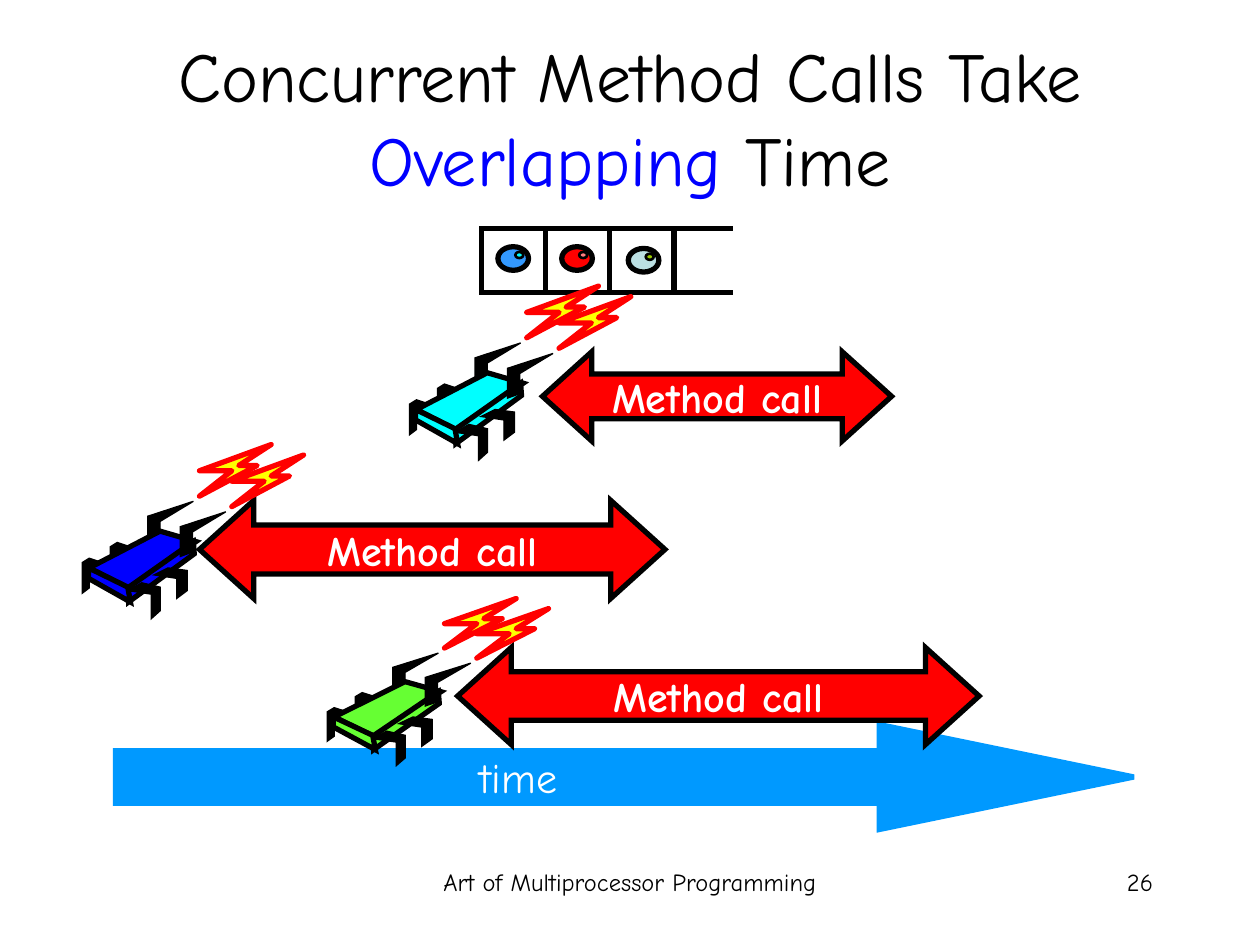
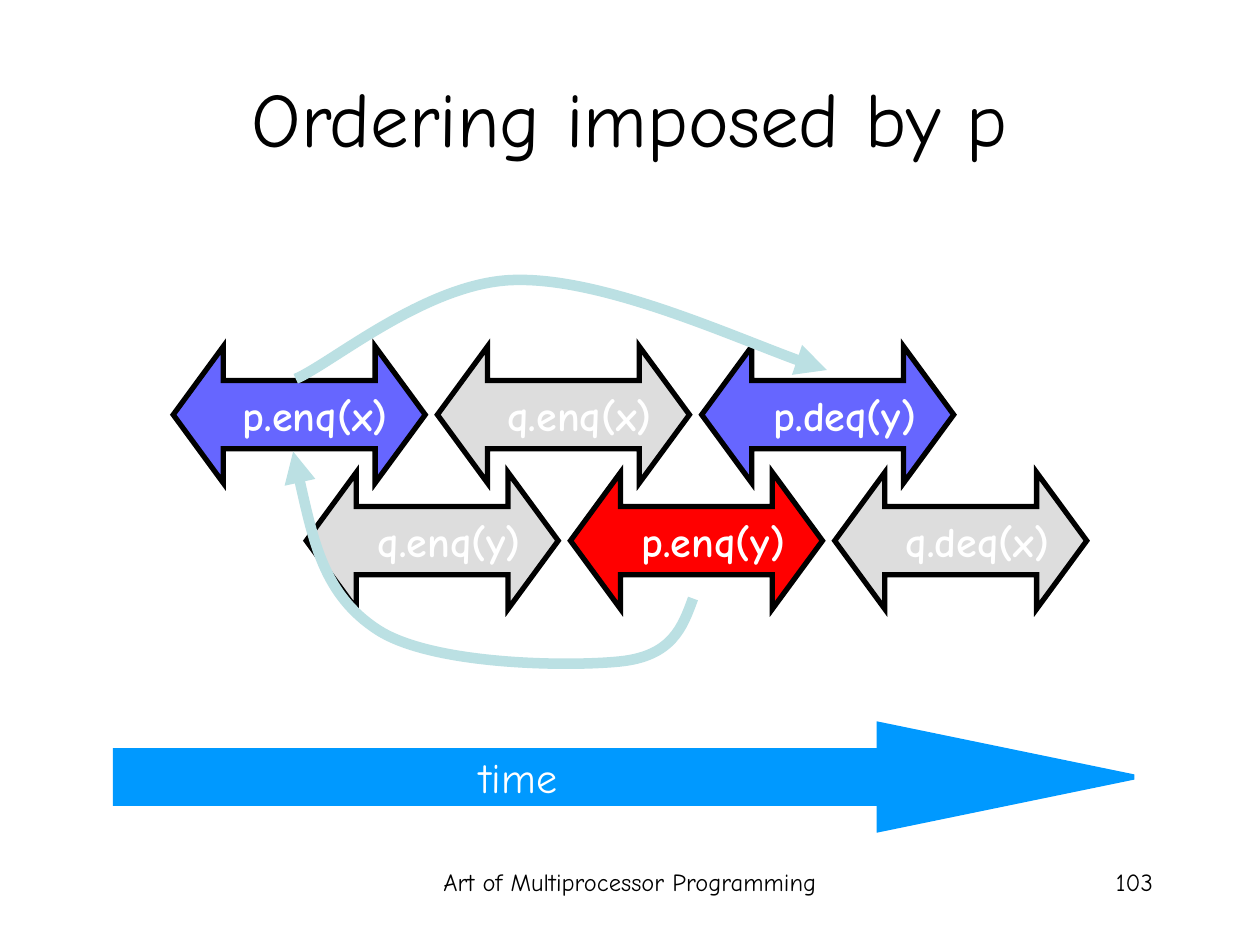
from lxml.etree import SubElement
from pptx import Presentation
from pptx.dml.color import RGBColor
from pptx.enum.shapes import MSO_CONNECTOR, MSO_SHAPE as SHAPE
from pptx.enum.text import MSO_ANCHOR as ANCHOR, PP_ALIGN as ALIGN
from pptx.oxml.ns import qn
from pptx.util import Pt

FONT = "Comic Neue"
COLORS = {
    "black": "000000", "white": "FFFFFF", "blue": "0000FF", "red": "FF0000",
    "yellow": "FFFF00", "cyan": "00FFFF", "green": "66FF33", "time": "0099FF",
    "ball blue": "3399FF", "pale": "BBE0E3", "pink": "FF7C80",
    "olive": "99CC00", "violet": "6666FF", "grey": "DDDDDD",
}
COLORS = {name: RGBColor.from_string(value) for name, value in COLORS.items()}


def style(shape, fill, line="black", width=3, join="miter"):
    """Set fill, outline and corner join, without a shadow."""
    shape.shadow.inherit = False
    if fill:
        shape.fill.solid()
        shape.fill.fore_color.rgb = COLORS[fill]
    else:
        shape.fill.background()
    shape.line.color.rgb = COLORS[line]
    shape.line.width = Pt(width)
    SubElement(shape.element.spPr.find(qn("a:ln")), qn("a:" + join))


def write(shape, text, size=24, color="white", bold=False,
          align=ALIGN.CENTER, anchor=ANCHOR.MIDDLE, wrap=False):
    """Add a run to the first paragraph of a shape."""
    frame = shape.text_frame
    frame.word_wrap = wrap
    frame.vertical_anchor = anchor
    paragraph = frame.paragraphs[0]
    paragraph.alignment = align
    run = paragraph.add_run()
    run.text = text
    run.font.name = FONT
    run.font.size = Pt(size)
    run.font.bold = bold
    run.font.color.rgb = COLORS[color]


prs = Presentation()
prs.slide_width, prs.slide_height = Pt(720), Pt(540)

# Shared parts: title, footer, page number and time arrow
SLIDES = [
    (40, "26", [("Concurrent Method Calls Take ", "black"),
                ("Overlapping", "blue"), (" Time", "black")]),
    (44, "103", [("Ordering imposed by p", "black")]),
]
for title_size, page_number, title_runs in SLIDES:
    shapes = prs.slides.add_slide(prs.slide_layouts[6]).shapes
    title = shapes.add_textbox(Pt(36), Pt(21.6), Pt(648), Pt(90))
    for text, color in title_runs:
        write(title, text, size=title_size, color=color, wrap=True)

    footer = shapes.add_textbox(Pt(246), Pt(492), Pt(228), Pt(36))
    write(footer, "Art of Multiprocessor Programming", size=14, color="black",
          anchor=ANCHOR.TOP, wrap=True)
    number = shapes.add_textbox(Pt(516), Pt(492), Pt(150), Pt(36))
    write(number, page_number, size=14, color="black", align=ALIGN.RIGHT,
          anchor=ANCHOR.TOP, wrap=True)

    time_arrow = shapes.add_shape(SHAPE.RIGHT_ARROW, Pt(66), Pt(414), Pt(582), Pt(60))
    time_arrow.adjustments[1] = 2.425
    style(time_arrow, "time", "time")
    time_label = shapes.add_textbox(Pt(267), Pt(426), Pt(58.5), Pt(36))
    write(time_label, "time", align=ALIGN.RIGHT, anchor=ANCHOR.TOP)

overlap, ordering = [slide.shapes for slide in prs.slides]

# Slide 1: queue with three cells, open at the right
queue = overlap.add_group_shape().shapes
CELL, QUEUE_LEFT, QUEUE_TOP = 36.75, 275, 130.5
BALLS = [(284.5, 141, "ball blue", "cyan"), (321, 141, "red", "pink"),
         (359, 142, "pale", "olive")]
for i, (x, y, ball_color, glint_color) in enumerate(BALLS):
    cell = queue.add_shape(SHAPE.RECTANGLE, Pt(QUEUE_LEFT + i * CELL),
                           Pt(QUEUE_TOP), Pt(CELL), Pt(CELL))
    style(cell, None)
    ball = queue.add_shape(SHAPE.OVAL, Pt(x), Pt(y), Pt(17.5), Pt(13.5))
    style(ball, ball_color)
    glint = queue.add_shape(SHAPE.OVAL, Pt(x + 10), Pt(y + 3), Pt(4.5), Pt(3.5))
    style(glint, glint_color, width=1.5)
for y in (QUEUE_TOP, QUEUE_TOP + CELL):
    rail = queue.add_connector(MSO_CONNECTOR.STRAIGHT, Pt(382.5), Pt(y), Pt(419), Pt(y))
    rail.line.color.rgb = COLORS["black"]
    rail.line.width = Pt(3)
    SubElement(rail.element.spPr, qn("a:effectLst"))

# Slide 1: method calls
for x, y, width, height in [(114, 286, 266, 56), (310, 201, 199.5, 51),
                            (261.5, 370, 298, 55.5)]:
    call = overlap.add_shape(SHAPE.LEFT_RIGHT_ARROW, Pt(x), Pt(y), Pt(width), Pt(height))
    call.adjustments[1] = 0.553
    style(call, "red")
    write(call, "Method call", bold=True)

# Slide 1: threads, drawn as bugs from outlines relative to their top left
BOLT = [(67, 29.5), (85.5, 15), (67, 15), (108, 0), (89.5, 12), (100, 12)]
ARM = [(37.5, 58), (44.5, 55.5), (44.5, 44), (63.5, 32.5), (37.5, 41)]
REAR_LEG = [(11.5, 67.5), (4, 65), (0, 67.5), (0, 85), (4, 82), (4, 70.5), (11.5, 73.5)]
BACK = [(44.5, 49.5), (4, 70.5), (26.5, 82), (65, 55.5)]
SIDE = [(63.5, 55.5), (26, 82), (26.5, 90), (64, 62.5)]
FACE = [(3.5, 70.5), (3.5, 76.5), (27.5, 90), (26, 81.5)]
LEFT_LEG = [(34, 79), (26, 83.5), (39.5, 85.5), (39.5, 99.5), (44.5, 95), (44.5, 81.5)]
RIGHT_LEG = [(49, 70.5), (41, 74.5), (54, 76.5), (54, 88), (60, 83.5), (60, 72)]
BOLT_STYLE = {"fill": "yellow", "line": "red", "join": "round"}
LIMB_STYLE = {"fill": "black", "width": 0.75}

for left, top, stretch, body_color in [(47, 254, 1, "blue"), (234, 163.5, 1, "cyan"),
                                       (187, 342, 0.96, "green")]:
    bug = overlap.add_group_shape().shapes
    body_style = {"fill": body_color}
    bug_parts = [
        (BOLT, 0, 0, BOLT_STYLE), (ARM, 0, 0, LIMB_STYLE),
        (REAR_LEG, 0, 0, LIMB_STYLE), (REAR_LEG, 16, -9, LIMB_STYLE),
        (BACK, 0, 0, body_style), (SIDE, 0, 0, body_style), (FACE, 0, 0, body_style),
        (LEFT_LEG, 0, 0, LIMB_STYLE), (RIGHT_LEG, 0, 0, LIMB_STYLE),
        (ARM, 18.5, 6, LIMB_STYLE), (BOLT, 18.5, 6, BOLT_STYLE),
    ]
    for outline, dx, dy, part_style in bug_parts:
        corners = [(Pt(left + x + dx), Pt(top + (y + dy) * stretch)) for x, y in outline]
        builder = bug.build_freeform(*corners[0])
        builder.add_line_segments(corners[1:], close=True)
        style(builder.convert_to_shape(), **part_style)

# Slide 2: two staggered rows of operations
ROWS = [
    (99, 198, [("p.enq(x)", "violet"), ("q.enq(x)", "grey"), ("p.deq(y)", "violet")]),
    (175, 270, [("q.enq(y)", "grey"), ("p.enq(y)", "red"), ("q.deq(x)", "grey")]),
]
for row_left, row_top, operations in ROWS:
    for i, (label, color) in enumerate(operations):
        operation = ordering.add_shape(SHAPE.LEFT_RIGHT_ARROW, Pt(row_left + i * 151),
                                       Pt(row_top), Pt(144), Pt(78))
        operation.adjustments[1] = 0.367
        style(operation, color)
        write(operation, label, bold=True, align=ALIGN.RIGHT)

# Slide 2: curved order arrows, each a start point and triples of Bézier points
ORDER_CURVES = [
    [(472.5, 211.5), (443, 203), (345.5, 159), (295, 160),
     (245, 160.5), (190, 207.5), (169, 216.5)],
    [(167.5, 258), (176.5, 299), (185, 340), (216, 360), (247, 380),
     (324, 381), (354, 378), (384, 375), (390, 358.5), (396, 342)],
]
for curve in ORDER_CURVES:
    points = [(Pt(x), Pt(y)) for x, y in curve]
    builder = ordering.build_freeform(*points[0])
    builder.add_line_segments(points[1:], close=False)
    order_arrow = builder.convert_to_shape()
    style(order_arrow, None, "pale", 6, "round")
    SubElement(order_arrow.element.spPr.find(qn("a:ln")), qn("a:headEnd"), type="triangle")
    # Turn each three straight segments into one curve
    track = order_arrow.element.find(".//" + qn("a:path"))
    segments = track.findall(qn("a:lnTo"))
    for i in range(0, len(segments), 3):
        bend = SubElement(track, qn("a:cubicBezTo"))
        for segment in segments[i:i + 3]:
            bend.append(segment[0])
            track.remove(segment)

prs.save("out.pptx")
